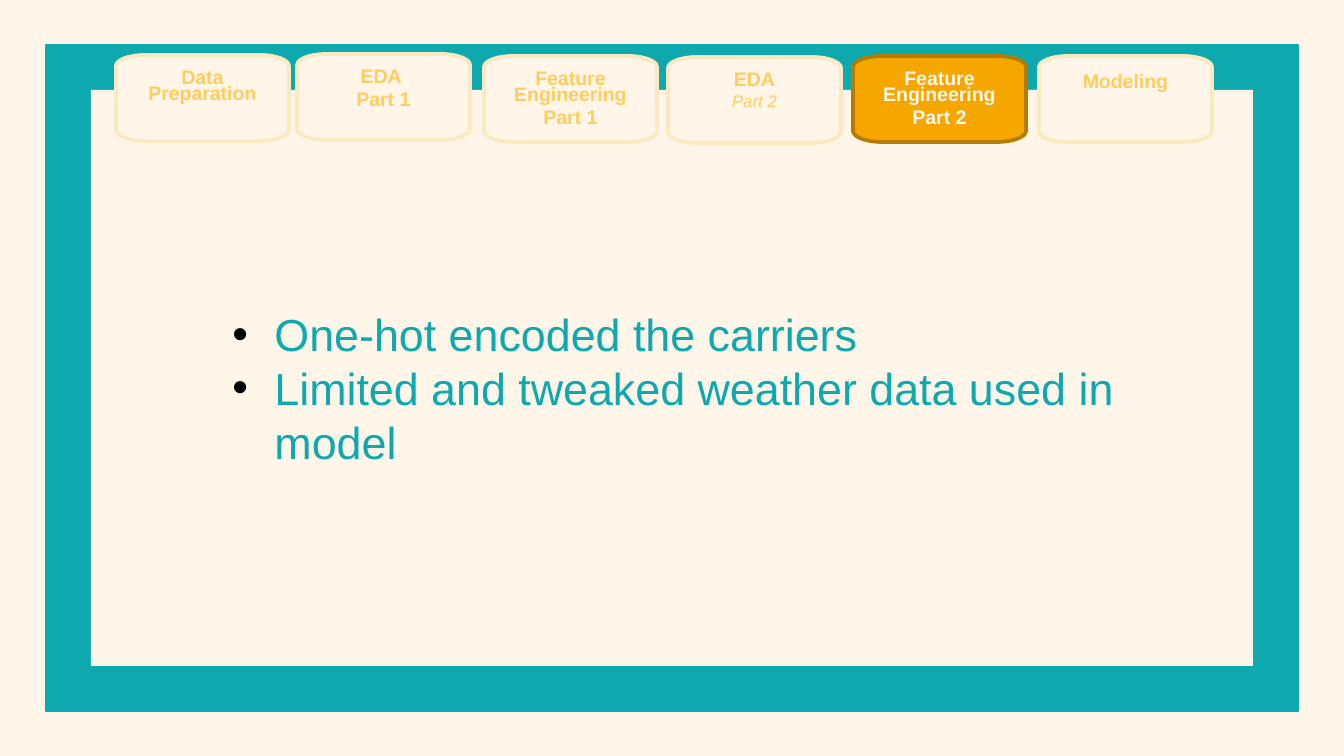
from lxml import etree
from pptx import Presentation
from pptx import util as u
from pptx.dml import color
from pptx.enum import shapes, text
from pptx.oxml import ns

SCALE = 914400 / 134.4
CREAM, TEAL, GOLD = "FFF6E9", "0EA9AF", "FFCC60"
PALE = (CREAM, "FDE9BF", GOLD)
BRIGHT = ("F5A700", "B57C00", CREAM)
WIDE, HIGH = 173, 86
TABS = [
    (116, 55, "Data Preparation", PALE),
    (297, 54, "EDA \nPart 1", PALE),
    (484, 56, "Feature Engineering\nPart 1", PALE),
    (668, 57, "EDA\nPart 2", PALE),
    (853, 56, "Feature Engineering\nPart 2", BRIGHT),
    (1039, 56, "Modeling", PALE),
]
ITEMS = ["One-hot encoded the carriers",
         "Limited and tweaked weather data used in model"]


def px(n):
    return u.Emu(round(n * SCALE))


def rgb(code):
    return color.RGBColor.from_string(code)


def paint(shape, fill, line=None, width=0.75):
    shape.shadow.inherit = False
    shape.fill.solid()
    shape.fill.fore_color.rgb = rgb(fill)
    if line:
        shape.line.color.rgb = rgb(line)
        shape.line.width = u.Pt(width)
    else:
        shape.line.fill.background()


def style(run, size, code, bold=False):
    font = run.font
    font.name, font.size, font.bold = "Arial", u.Pt(size), bold
    font.color.rgb = rgb(code)


def add_box(slide, box, fill, line=None):
    shape = slide.shapes.add_shape(
        shapes.MSO_SHAPE.RECTANGLE, *[px(n) for n in box])
    paint(shape, fill, line)


def bend(line, start, corner, end):
    curve = etree.Element(ns.qn("a:cubicBezTo"))
    pulls = [[p + 0.55 * (c - p) for p, c in zip(point, corner)]
             for point in (start, end)]
    for x, y in (*pulls, end):
        etree.SubElement(curve, ns.qn("a:pt"), x=str(px(x)), y=str(px(y)))
    line.getparent().replace(line, curve)


def add_outline(slide, left, top):
    wide, high = 29, 11
    points = [(0, high), (wide, 0), (WIDE - wide, 0), (WIDE, high),
              (WIDE, HIGH - high), (WIDE - wide, HIGH),
              (wide, HIGH), (0, HIGH - high)]
    spots = [(px(left) + px(x), px(top) + px(y)) for x, y in points]
    pen = slide.shapes.build_freeform(*spots[0])
    pen.add_line_segments(spots[1:], close=True)
    tab = pen.convert_to_shape()
    lines = list(tab._element.iter(ns.qn("a:lnTo")))
    corners = [(0, 0), (WIDE, 0), (WIDE, HIGH), (0, HIGH)]
    for i, corner in enumerate(corners):
        bend(lines[2 * i], points[2 * i], corner, points[2 * i + 1])
    return tab


def add_tab(slide, left, top, label, look):
    fill, line, ink = look
    tab = add_outline(slide, left, top)
    paint(tab, fill, line, 2)
    frame = tab.text_frame
    frame.text = label
    frame.word_wrap = True
    frame.vertical_anchor = text.MSO_ANCHOR.TOP
    frame.margin_left = frame.margin_right = px(16)
    frame.margin_top = frame.margin_bottom = px(16)
    for par in frame.paragraphs:
        par.alignment = text.PP_ALIGN.CENTER
        par.line_spacing = 0.9 if label == "Modeling" else 0.7
        par.space_after = u.Pt(3.7)
        for run in par.runs:
            style(run, 10.5, ink, True)
    return tab


def set_bullet(par):
    props = par._p.get_or_add_pPr()
    props.set("marL", str(px(42)))
    props.set("indent", str(-px(42)))
    tint = etree.SubElement(props, ns.qn("a:buClr"))
    etree.SubElement(tint, ns.qn("a:srgbClr"), val="000000")
    etree.SubElement(props, ns.qn("a:buFont"), typeface="Arial")
    etree.SubElement(props, ns.qn("a:buChar"), char="•")


def fill_list(slide, body):
    slide.shapes._spTree.append(body._element)
    body.left, body.top, body.width, body.height = [
        px(n) for n in (219, 300, 945, 176)]
    frame = body.text_frame
    frame.text = "\n".join(ITEMS)
    frame.word_wrap = True
    frame.auto_size = text.MSO_AUTO_SIZE.SHAPE_TO_FIT_TEXT
    frame.vertical_anchor = text.MSO_ANCHOR.TOP
    for par in frame.paragraphs:
        par.alignment = text.PP_ALIGN.LEFT
        par.line_spacing = 1.0
        par.space_before = u.Pt(0)
        set_bullet(par)
        for run in par.runs:
            style(run, 24, TEAL)


def main():
    deck = Presentation()
    deck.slide_width, deck.slide_height = px(1344), px(756)
    slide = deck.slides.add_slide(deck.slide_layouts[1])
    slide.background.fill.solid()
    slide.background.fill.fore_color.rgb = rgb(CREAM)
    title = slide.shapes.title._element
    title.getparent().remove(title)
    add_box(slide, (46, 45, 1252, 666), TEAL, TEAL)
    add_box(slide, (91, 90, 1162, 576), CREAM)
    tabs = [add_tab(slide, *tab) for tab in TABS]
    part = tabs[3].text_frame.paragraphs[1].runs[0]
    style(part, 9, GOLD)
    part.font.italic = True
    fill_list(slide, slide.placeholders[1])
    deck.save("out.pptx")


if __name__ == "__main__":
    main()
